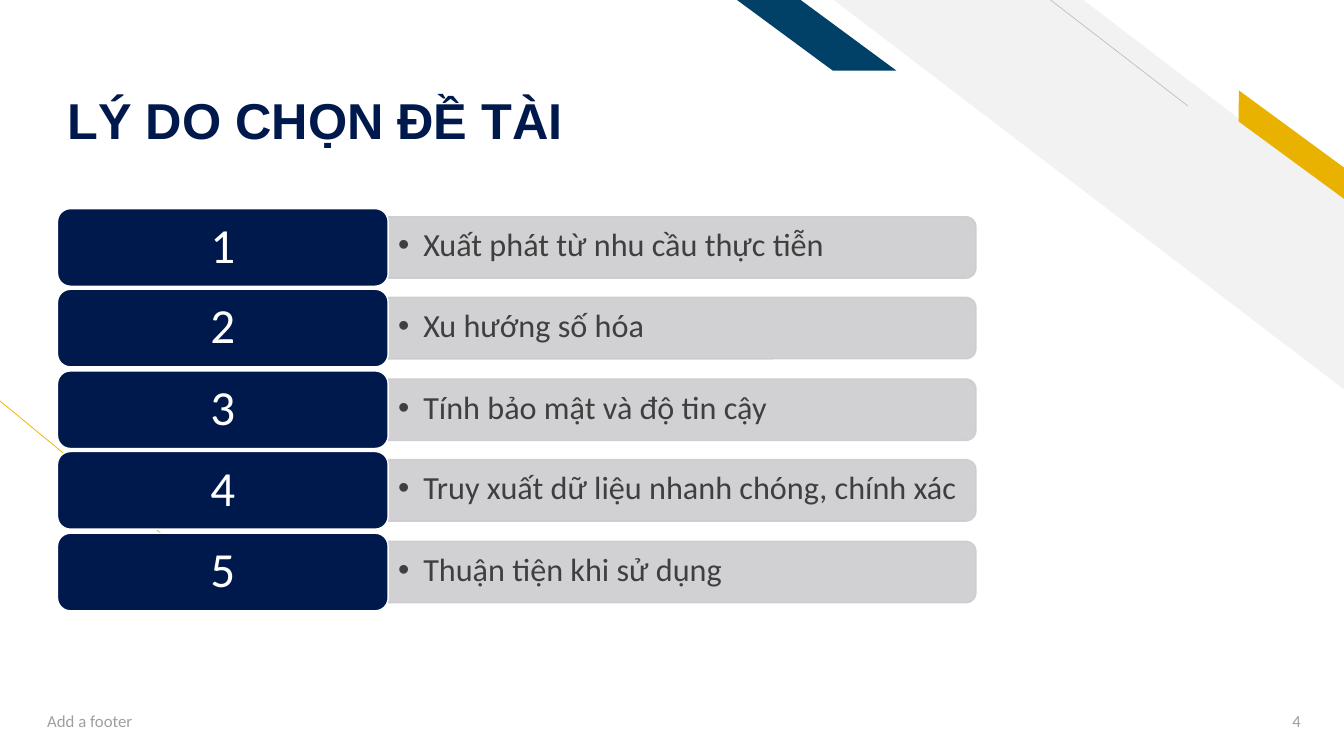
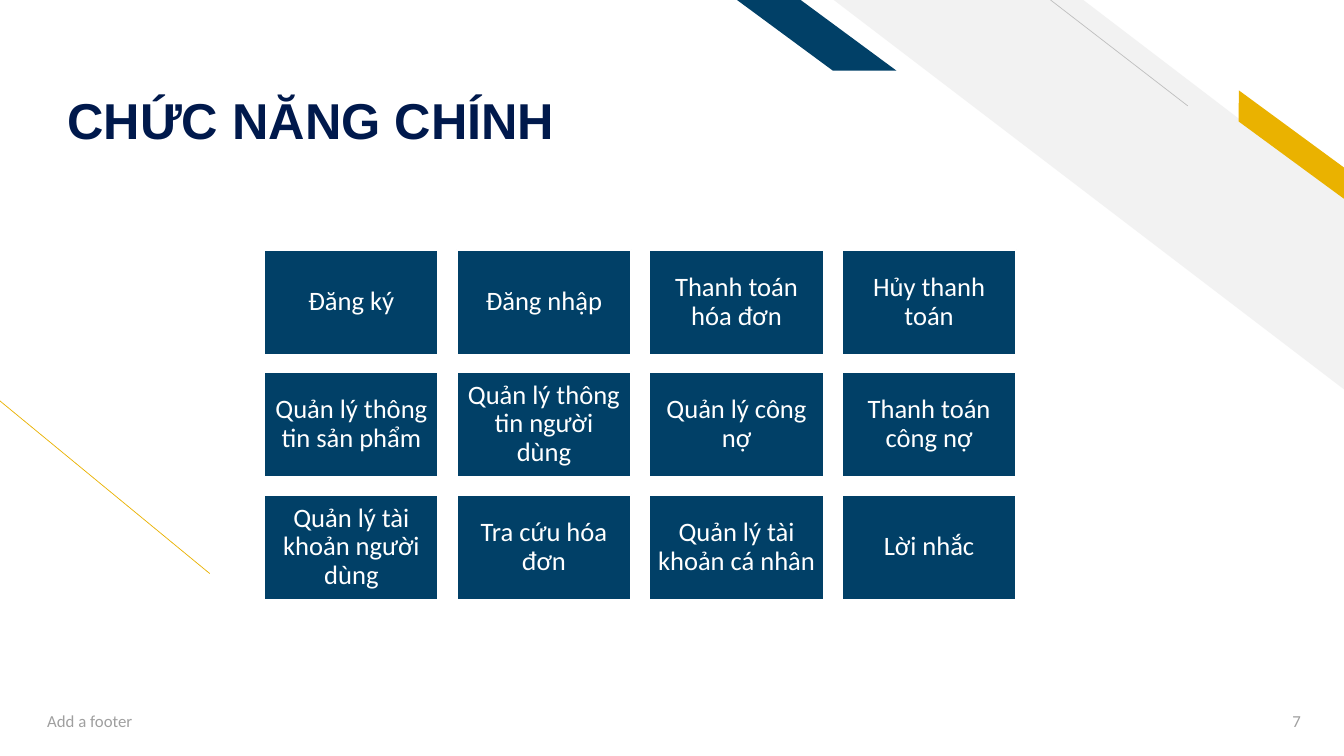
from lxml import etree
from pptx import Presentation
from pptx.dml.color import RGBColor
from pptx.enum.shapes import MSO_CONNECTOR, MSO_SHAPE
from pptx.enum.text import MSO_ANCHOR, PP_ALIGN
from pptx.oxml.ns import qn
from pptx.util import Emu, Pt

PX = 9144  # 100 px to the inch
WIDE, HIGH = 1333, 750
LINE = MSO_CONNECTOR.STRAIGHT
RECT, ROUND = MSO_SHAPE.RECTANGLE, MSO_SHAPE.ROUNDED_RECTANGLE
HALF = MSO_SHAPE.ROUND_2_SAME_RECTANGLE
STRIPE, SLANT = MSO_SHAPE.DIAGONAL_STRIPE, MSO_SHAPE.PARALLELOGRAM
MID, LOW = MSO_ANCHOR.MIDDLE, MSO_ANCHOR.BOTTOM
LEFT, MIDST, RIGHT = PP_ALIGN.LEFT, PP_ALIGN.CENTER, PP_ALIGN.RIGHT

HUES = {
    "navy": "00194C", "blue": "014067", "gold": "EAB200", "pale": "F2F2F2",
    "rule": "BFBFBF", "bar": "CCCCD0", "ink": "3F3F3F", "note": "9F9F9F",
    "white": "FFFFFF",
}
BODY, HEAD = "Calibri", "Arial"

REASONS = [
    "Xuất phát từ nhu cầu thực tiễn",
    "Xu hướng số hóa",
    "Tính bảo mật và độ tin cậy",
    "Truy xuất dữ liệu nhanh chóng, chính xác",
    "Thuận tiện khi sử dụng",
]
TASKS = [
    ["Đăng ký", "Đăng nhập", "Thanh toán hóa đơn", "Hủy thanh toán"],
    ["Quản lý thông tin sản phẩm", "Quản lý thông tin người dùng",
     "Quản lý công nợ", "Thanh toán công nợ"],
    ["Quản lý tài khoản người dùng", "Tra cứu hóa đơn",
     "Quản lý tài khoản cá nhân", "Lời nhắc"],
]


def px(num):
    return Emu(num * PX)


def hue(name):
    return RGBColor.from_string(HUES[name])


def fade(fill, share):
    """Set the opacity of a solid fill, in percent."""
    for tint in fill.iter(qn("a:srgbClr")):
        etree.SubElement(tint, qn("a:alpha")).set("val", str(share * 1000))


# Text
def write(shape, text, size, color, font=BODY, bold=False, side=LEFT,
          anchor=MID, pads=(10, 5, 10, 5), space=None):
    frame = shape.text_frame
    frame.word_wrap = True
    frame.vertical_anchor = anchor
    (frame.margin_left, frame.margin_top,
     frame.margin_right, frame.margin_bottom) = map(px, pads)
    para = frame.paragraphs[0]
    para.alignment = side
    para.line_spacing = space
    run = para.add_run()
    run.text = text
    run.font.name, run.font.size, run.font.bold = font, Pt(size), bold
    run.font.color.rgb = hue(color)
    return para


def label(slide, box, text, size, color, **style):
    shape = slide.shapes.add_textbox(*map(px, box))
    return write(shape, text, size, color, **style)


def bullet(para, dent):
    props = para._p.get_or_add_pPr()
    props.set("marL", str(px(dent)))
    props.set("indent", str(-px(dent)))
    etree.SubElement(props, qn("a:buFont")).set("typeface", "Arial")
    etree.SubElement(props, qn("a:buChar")).set("char", "•")


# Shapes
def block(slide, kind, box, fill, edge=None, width=1, adj=None, turn=0,
          flip=False):
    shape = slide.shapes.add_shape(kind, *map(px, box))
    shape.shadow.inherit = False
    shape.fill.solid()
    shape.fill.fore_color.rgb = hue(fill)
    if edge:
        shape.line.color.rgb = hue(edge)
        shape.line.width = Pt(width)
    else:
        shape.line.fill.background()
    if adj is not None:
        shape.adjustments[0] = adj
    shape.rotation = turn
    if flip:
        shape.element.spPr.xfrm.set("flipH", "1")
    return shape


def rule(slide, ends, color):
    line = slide.shapes.add_connector(LINE, *map(px, ends))
    line.line.color.rgb = hue(color)
    line.line.width = Pt(0.5)
    etree.SubElement(line.element.spPr, qn("a:effectLst"))


# Shared look: bands, title and footer
def start(deck, title, page):
    slide = deck.slides.add_slide(deck.slide_layouts[6])
    rule(slide, (208, 569, -1, 397), "gold")
    block(slide, STRIPE, (827, 0, 507, 387), "pale", adj=0.512, flip=True)
    rule(slide, (1178, 105, 1042, 0), "rule")
    block(slide, SLANT, (1207, 131, 148, 25), "gold", adj=0.72, turn=36.3,
          flip=True)
    block(slide, SLANT, (731, 0, 158, 70), "blue", adj=1.356, flip=True)
    label(slide, (57, 23, 911, 126), title, 36, "navy", font=HEAD, bold=True,
          anchor=LOW, pads=(10, 5, 10, 0), space=0.9)
    label(slide, (37, 695, 450, 40), "Add a footer", 12, "note")
    label(slide, (1219, 695, 81, 40), str(page), 12, "note", side=RIGHT)
    return slide


# Numbered row: a bar lying on its side, its text and its badge
def reason(slide, top, num, text):
    long, thick = 583, 61
    left, mid = 385, top + 38
    box = (left + (long - thick) // 2, mid - long // 2, thick, long)
    bar = block(slide, HALF, box, "bar", edge="bar", turn=90)
    fade(bar.element.spPr, 90)
    para = label(slide, (left, top + 10, 580, 55), text, 23, "ink", space=0.9)
    bullet(para, 25)
    badge = block(slide, ROUND, (57, top, 328, 77), "navy", edge="white")
    write(badge, str(num), 35, "white", side=MIDST, pads=(15, 7, 15, 7),
          space=0.9)


def task(slide, left, top, text):
    tile = block(slide, RECT, (left, top, 173, 104), "blue", edge="white",
                 width=1.5)
    write(tile, text, 19, "white", side=MIDST, pads=(8, 8, 8, 8), space=0.9)


def main():
    deck = Presentation()
    deck.slide_width, deck.slide_height = px(WIDE), px(HIGH)

    # Reasons
    slide = start(deck, "LÝ DO CHỌN ĐỀ TÀI", 4)
    for i, text in enumerate(REASONS):
        reason(slide, 207 + 322 * i // 4, i + 1, text)

    # Main functions
    slide = start(deck, "CHỨC NĂNG CHÍNH", 7)
    for row, texts in enumerate(TASKS):
        for col, text in enumerate(texts):
            task(slide, 262 + 191 * col, 248 + 243 * row // 2, text)

    deck.save("out.pptx")


if __name__ == "__main__":
    main()
